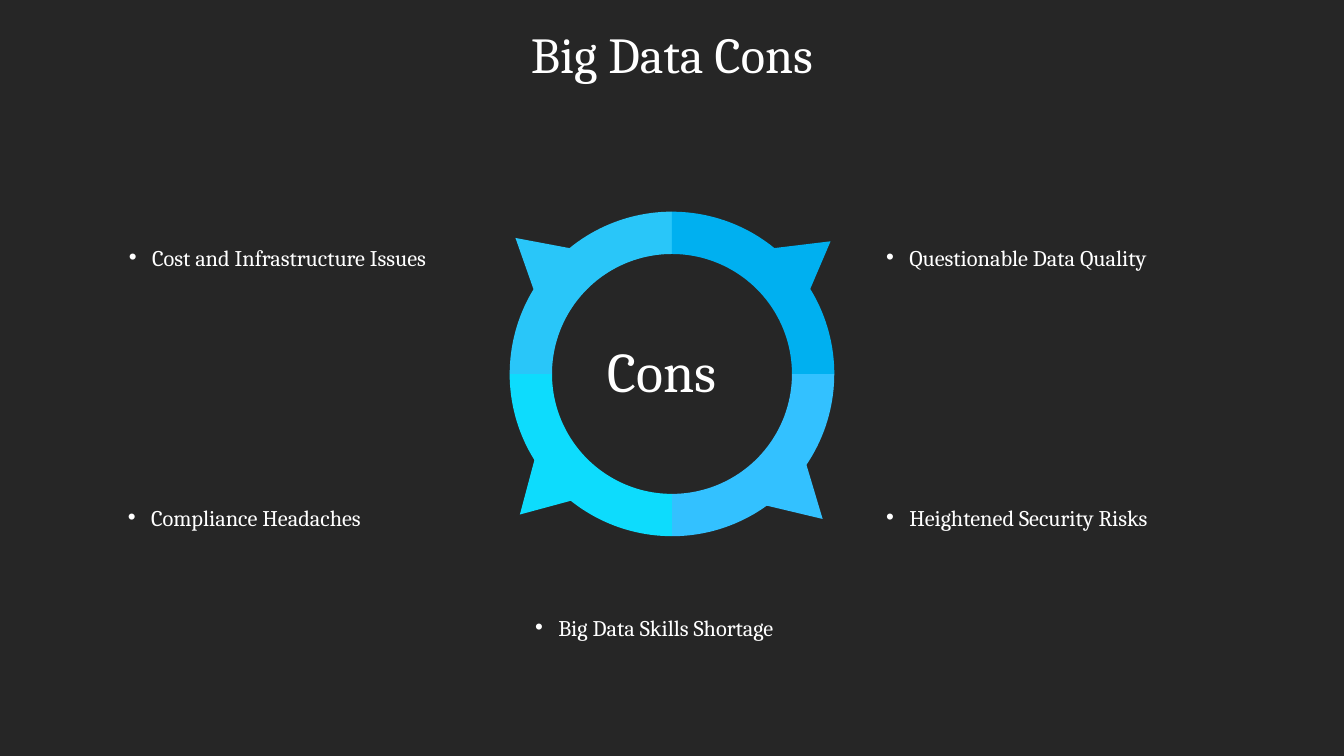
import math
from dataclasses import dataclass

from lxml import etree
from pptx import Presentation
from pptx.dml.color import RGBColor
from pptx.enum import shapes, text
from pptx.oxml import ns
from pptx.util import Inches, Pt


@dataclass(frozen=True)
class Theme:
    font: str = "Cambria"
    background: str = "262626"
    ink: str = "FFFFFF"
    title_size: int = 36
    centre_size: int = 40
    point_size: int = 16


THEME = Theme()
SLIDE_SIZE = (13.33, 7.5)

TITLE = ("Big Data Cons", (0, 0.18, 13.33, 0.71))
CENTRE_LABEL = ("Cons", (5.93, 3.29, 1.74, 0.77))
POINTS = [
    ("Questionable Data Quality", (8.69, 2.37, 3.04, 0.37)),
    ("Heightened Security Risks", (8.69, 4.95, 3.35, 0.37)),
    ("Cost and Infrastructure Issues", (1.18, 2.37, 3.67, 0.37)),
    ("Big Data Skills Shortage", (5.21, 6.04, 3.17, 0.37)),
    ("Compliance Headaches", (1.17, 4.95, 3.8, 0.37)),
]
# Clockwise from lower right: colour, pointer left and top, pointer rotation
QUARTERS = [
    ("33C1FF", (7.67, 4.71), 133.4),
    ("0DDCFD", (5.04, 4.66), 224.9),
    ("29C6F9", (5.01, 2.27), 310.6),
    ("00B0F0", (7.73, 2.29), 53.1),
]
POINTER_SIZE = (0.6, 0.52)
RING_CENTRE = (SLIDE_SIZE[0] / 2, 3.71)
OUTER_RADIUS, INNER_RADIUS = 1.61, 1.19
ANGLE_UNITS = 60000
BULLET_INDENT = 0.23


def paint(shape, colour):
    shape.shadow.inherit = False
    shape.fill.solid()
    shape.fill.fore_color.rgb = RGBColor.from_string(colour)
    shape.line.fill.background()


def ring_point(radius, angle):
    centre_x, centre_y = RING_CENTRE
    return (
        Inches(centre_x + radius * math.cos(math.radians(angle))),
        Inches(centre_y + radius * math.sin(math.radians(angle))),
    )


def add_pointer(page, colour, corner, rotation):
    pointer = page.shapes.add_shape(
        shapes.MSO_SHAPE.ISOSCELES_TRIANGLE,
        *map(Inches, corner + POINTER_SIZE),
    )
    pointer.rotation = rotation
    paint(pointer, colour)


def bend(segment, radius, start, sweep):
    """Turn a straight outline segment into a circular arc."""
    arc = etree.Element(ns.qn("a:arcTo"))
    arc.set("wR", str(Inches(radius)))
    arc.set("hR", str(Inches(radius)))
    arc.set("stAng", str(start * ANGLE_UNITS))
    arc.set("swAng", str(sweep * ANGLE_UNITS))
    segment.getparent().replace(segment, arc)


def add_ring_quarter(page, colour, start):
    end = start + 90
    builder = page.shapes.build_freeform(*ring_point(OUTER_RADIUS, start))
    builder.add_line_segments(
        [
            ring_point(OUTER_RADIUS, end),
            ring_point(INNER_RADIUS, end),
            ring_point(INNER_RADIUS, start),
        ],
        close=True,
    )
    quarter = builder.convert_to_shape()
    outer, _, inner = quarter._element.findall(".//" + ns.qn("a:lnTo"))
    bend(outer, OUTER_RADIUS, start, 90)
    bend(inner, INNER_RADIUS, end, -90)
    paint(quarter, colour)


def add_bullet(paragraph):
    properties = paragraph._p.get_or_add_pPr()
    properties.set("marL", str(Inches(BULLET_INDENT)))
    properties.set("indent", str(-Inches(BULLET_INDENT)))
    font = etree.SubElement(properties, ns.qn("a:buFont"))
    font.set("typeface", "Arial")
    bullet = etree.SubElement(properties, ns.qn("a:buChar"))
    bullet.set("char", "•")


def add_label(page, wording, place, size, align=text.PP_ALIGN.LEFT, bulleted=False):
    box = page.shapes.add_textbox(*map(Inches, place))
    frame = box.text_frame
    frame.word_wrap = True
    frame.auto_size = text.MSO_AUTO_SIZE.SHAPE_TO_FIT_TEXT
    frame.text = wording
    paragraph = frame.paragraphs[0]
    paragraph.alignment = align
    if bulleted:
        add_bullet(paragraph)
    font = paragraph.runs[0].font
    font.name = THEME.font
    font.size = Pt(size)
    font.color.rgb = RGBColor.from_string(THEME.ink)


def main():
    deck = Presentation()
    deck.slide_width, deck.slide_height = map(Inches, SLIDE_SIZE)
    page = deck.slides.add_slide(deck.slide_layouts[6])
    page.background.fill.solid()
    page.background.fill.fore_color.rgb = RGBColor.from_string(THEME.background)

    add_label(page, *TITLE, THEME.title_size, text.PP_ALIGN.CENTER)
    for quarter in QUARTERS:
        add_pointer(page, *quarter)
    for index, (colour, _, _) in enumerate(QUARTERS):
        add_ring_quarter(page, colour, 90 * index)
    for wording, place in POINTS:
        add_label(page, wording, place, THEME.point_size, bulleted=True)
    add_label(page, *CENTRE_LABEL, THEME.centre_size)

    deck.save("out.pptx")


if __name__ == "__main__":
    main()
